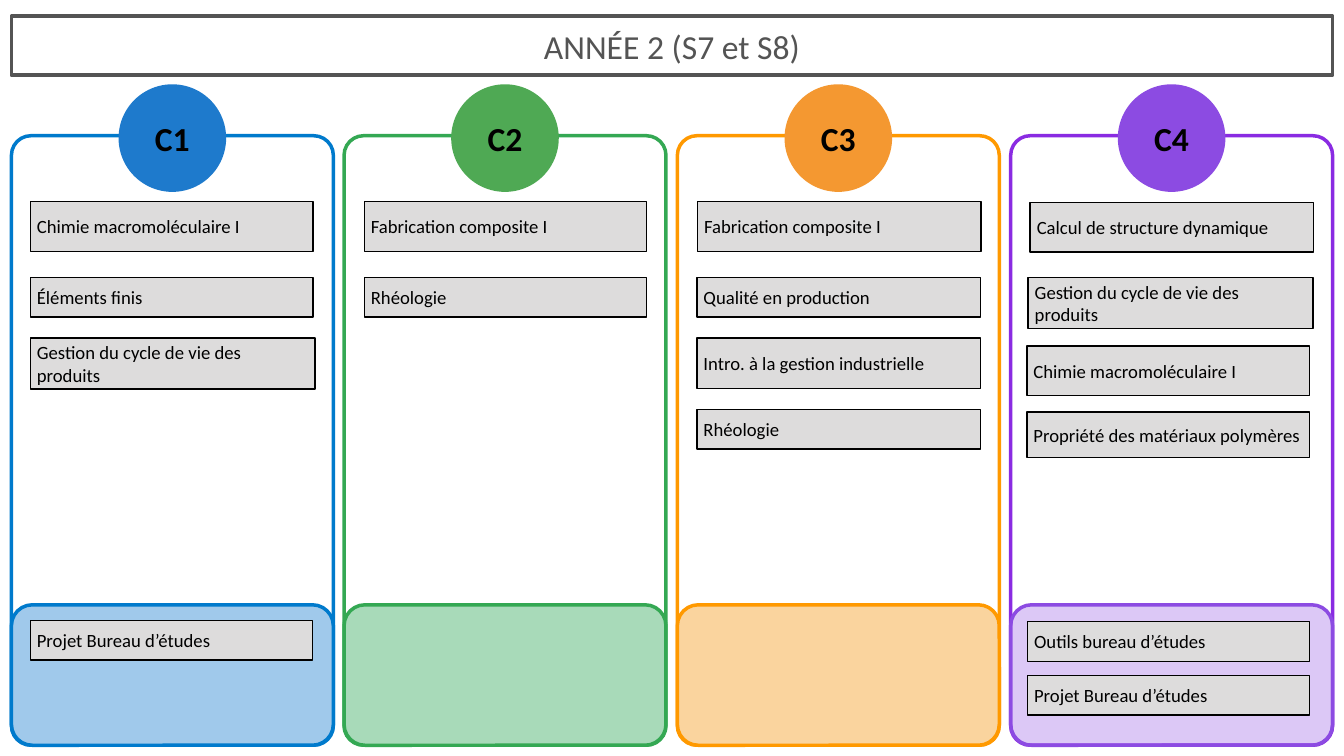
from dataclasses import dataclass

from pptx import Presentation
from pptx.dml.color import RGBColor
from pptx.enum import shapes, text
from pptx.oxml import parse_xml
from pptx.oxml.ns import nsdecls
from pptx.util import Emu, Pt

SCALE = 9144  # EMU per px, 100 px to the inch


@dataclass(frozen=True)
class Theme:
    font: str = "Calibri"
    ink: str = "000000"
    grey: str = "545454"
    card: str = "DDDCDC"
    big: int = 36
    body: int = 20
    thick: float = 3.75
    mid: float = 2.25
    thin: float = 1.5


@dataclass(frozen=True)
class Skill:
    name: str
    disc: str
    edge: str
    base: str
    rim: str
    alpha: int
    cards: tuple  # (wording, offset from column, top, width, height)


THEME = Theme()
CYCLE = "Gestion du cycle de vie des produits"
SKILLS = (
    Skill("C1", "1E7ACC", "007ACC", "A0C9EB", "007ACC", 100, (
        ("Chimie macromoléculaire I", 28, 300, 421, 74),
        ("Éléments finis", 28, 413, 421, 59),
        (CYCLE, 28, 503, 424, 76),
        ("Projet Bureau d’études", 28, 923, 420, 59),
    )),
    Skill("C2", "4FA954", "34A853", "A8DAB9", "34A853", 100, (
        ("Fabrication composite I", 30, 300, 420, 74),
        ("Rhéologie", 30, 413, 420, 59),
    )),
    Skill("C3", "F49831", "FF9900", "FAD49E", "FF9900", 100, (
        ("Fabrication composite I", 30, 300, 422, 74),
        ("Qualité en production", 29, 413, 422, 59),
        ("Intro. à la gestion industrielle", 29, 503, 422, 75),
        ("Rhéologie", 29, 609, 422, 59),
    )),
    Skill("C4", "8C4BE2", "8A2BE2", "8C4BE2", "8C4BE2", 30, (
        ("Calcul de structure dynamique", 29, 301, 422, 74),
        (CYCLE, 26, 413, 424, 76),
        ("Chimie macromoléculaire I", 24, 515, 421, 74),
        ("Propriété des matériaux polymères", 24, 613, 421, 68),
        ("Outils bureau d’études", 25, 925, 420, 59),
        ("Projet Bureau d’études", 25, 1005, 420, 59),
    )),
)


def px(n):
    return Emu(n * SCALE)


def outline(shape, color, width):
    shape.line.color.rgb = RGBColor.from_string(color)
    shape.line.width = Pt(width)


def write(shape, words, size, color, align, bold=False):
    frame = shape.text_frame
    frame.word_wrap = True
    frame.auto_size = text.MSO_AUTO_SIZE.NONE
    frame.vertical_anchor = text.MSO_ANCHOR.MIDDLE
    para = frame.paragraphs[0]
    para.alignment = align
    run = para.add_run()
    run.text = words
    run.font.name = THEME.font
    run.font.size = Pt(size)
    run.font.bold = bold
    run.font.color.rgb = RGBColor.from_string(color)


def add_form(slide, kind, box, fill, edge, width, radius=None):
    """Add a preset shape; fill None leaves it hollow, radius is in px."""
    shape = slide.shapes.add_shape(kind, *map(px, box))
    shape.shadow.inherit = False
    if fill is None:
        shape.fill.background()
    else:
        shape.fill.solid()
        shape.fill.fore_color.rgb = RGBColor.from_string(fill)
    outline(shape, edge, width)
    if radius:
        shape.adjustments[0] = radius / min(box[2:])
    return shape


def fade(shape, percent):
    """Set the opacity of a solid fill."""
    color = shape.fill._xPr.find(".//{*}srgbClr")
    color.append(parse_xml(f'<a:alpha {nsdecls("a")} val="{percent * 1000}"/>'))


def add_title(slide):
    title = slide.shapes.title
    title.left, title.top, title.width, title.height = map(px, (17, 24, 1966, 88))
    outline(title, THEME.grey, THEME.thick)
    write(title, "ANNÉE 2 (S7 et S8)", THEME.big, THEME.grey, text.PP_ALIGN.CENTER)


def add_disc(slide, x, skill):
    disc = add_form(slide, shapes.MSO_SHAPE.OVAL, (x + 161, 127, 157, 157),
                    skill.disc, skill.disc, THEME.mid)
    frame = disc.text_frame
    frame.margin_left = frame.margin_right = 0
    frame.margin_top = frame.margin_bottom = 0
    write(disc, skill.name, THEME.big, THEME.ink, text.PP_ALIGN.CENTER, True)


def add_card(slide, words, box):
    card = add_form(slide, shapes.MSO_SHAPE.RECTANGLE, box,
                    THEME.card, THEME.ink, THEME.thin)
    write(card, words, THEME.body, THEME.ink, text.PP_ALIGN.LEFT)


def add_column(slide, x, skill):
    round_box = shapes.MSO_SHAPE.ROUNDED_RECTANGLE
    add_form(slide, round_box, (x, 202, 479, 907), None,
             skill.edge, THEME.thick, 29)
    add_disc(slide, x, skill)
    base = add_form(slide, round_box, (x, 900, 479, 209), skill.base,
                    skill.rim, THEME.thick, 31)
    if skill.alpha < 100:
        fade(base, skill.alpha)
    for words, shift, top, width, height in skill.cards:
        add_card(slide, words, (x + shift, top, width, height))


def main():
    deck = Presentation()
    deck.slide_width, deck.slide_height = px(2000), px(1125)
    slide = deck.slides.add_slide(deck.slide_layouts.get_by_name("Title Only"))
    add_title(slide)
    for i, skill in enumerate(SKILLS):
        add_column(slide, 17 + 1487 * i // 3, skill)
    deck.save("out.pptx")


if __name__ == "__main__":
    main()
